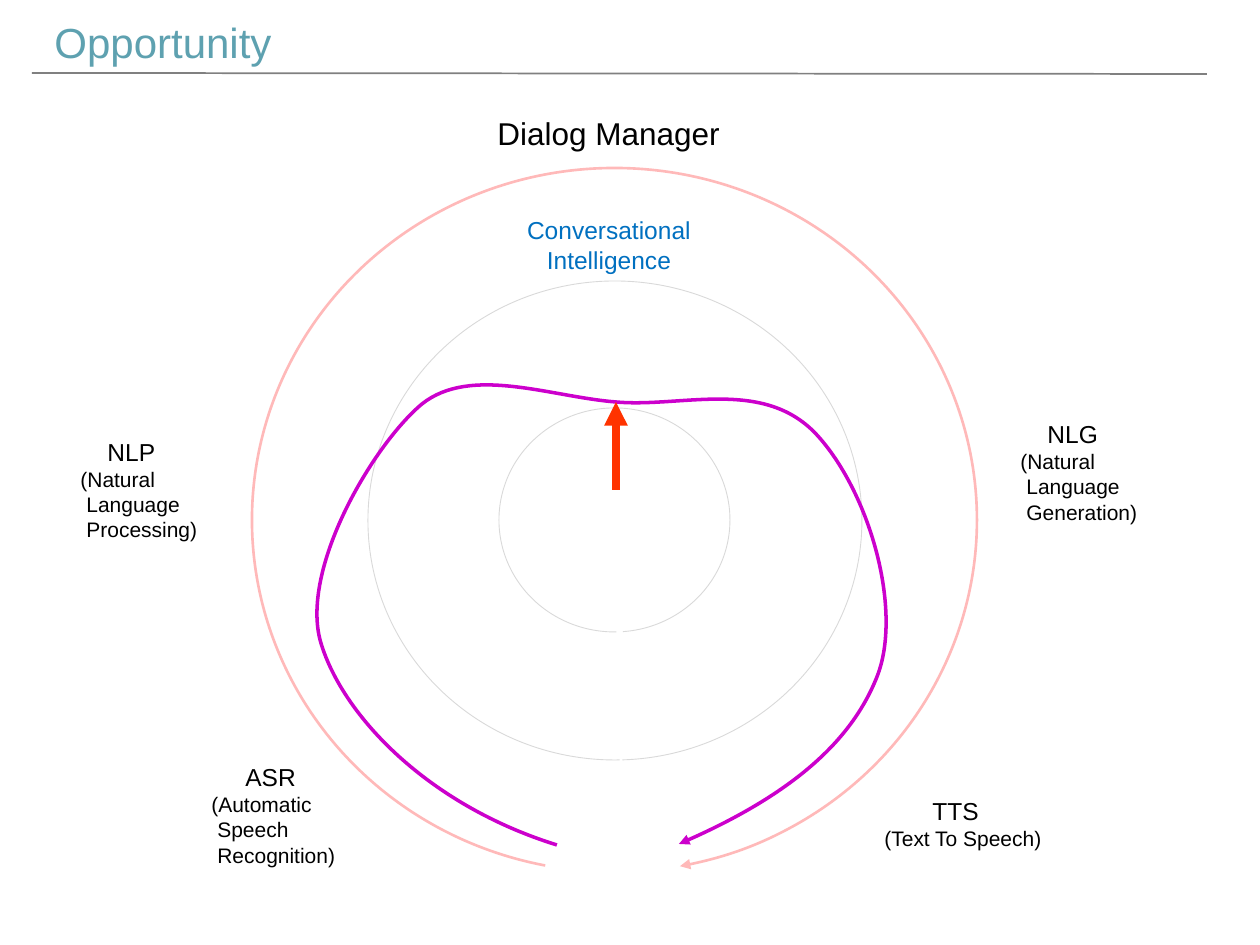
"""Build the Opportunity slide: a dialog loop around conversational intelligence."""
from dataclasses import dataclass

from pptx import Presentation
from pptx.dml.color import RGBColor
from pptx.enum.shapes import MSO_CONNECTOR as Connector, MSO_SHAPE as Shape
from pptx.enum.text import MSO_AUTO_SIZE as AutoSize, PP_ALIGN as Align
from pptx.oxml.ns import qn
from pptx.util import Emu, Pt
from lxml.etree import SubElement


@dataclass(frozen=True)
class Theme:
    font: str = "Arial"
    title: str = "5EA1B0"
    text: str = "000000"
    accent: str = "0070C0"
    rule: str = "808080"
    loop: str = "FFB9B9"
    ring: str = "D9D9D9"
    path_line: str = "CC00CC"
    pointer: str = "FF3300"
    title_size: int = 24
    heading_size: int = 18
    label_size: int = 14
    detail_size: int = 12


THEME = Theme()
EMU_PER_PX = 914400 / 126

HEADINGS = [
    (["Opportunity"], (42, 10, 244, 63), THEME.title_size, THEME.title, Align.LEFT),
    (["Dialog Manager"], (485, 108, 249, 51), THEME.heading_size, THEME.text, Align.LEFT),
    (["Conversational", "Intelligence"], (514, 209, 190, 72),
     THEME.label_size, THEME.accent, Align.CENTER),
]
STAGES = [
    ("ASR", ["(Automatic", "Speech", "Recognition)"], (199, 756, 150, 118), 34),
    ("TTS", ["(Text To Speech)"], (872, 790, 184, 68), 48),
    ("NLP", ["(Natural", "Language", "Processing)"], (68, 431, 142, 118), 27),
    ("NLG", ["(Natural", "Language", "Generation)"], (1008, 413, 142, 118), 27),
]
DETAIL_INDENT = 6
LOOP = ((252, 168, 725, 704), (101.33, 79.29), THEME.loop, 1.5, True)
RINGS = [
    ((368, 281, 494, 479), (88.88, 88.23), THEME.ring, 0.5, False),
    ((499, 408, 231, 224), (89.01, 85.72), THEME.ring, 0.5, False),
]
FLOW_BOX = (317, 385, 570, 461)
FLOW_START = (557, 845)
FLOW_CURVES = [
    [(428, 805), (343, 716), (321, 643)],
    [(299, 570), (373, 445), (422, 404)],
    [(471, 365), (551, 397), (616, 402)],
    [(682, 408), (765, 377), (818, 436)],
    [(871, 495), (903, 612), (877, 677)],
    [(852, 740), (791, 796), (679, 844)],
]
TITLE_RULE = ((32, 73, 1207, 74), THEME.rule, 1, False)
POINTER = ((616, 490, 616, 402), THEME.pointer, 4.5, True)


def px(value):
    return Emu(round(value * EMU_PER_PX))


def scaled(values):
    return [px(value) for value in values]


def style_line(shape, color, width, arrow):
    shape.line.color.rgb = RGBColor.from_string(color)
    shape.line.width = Pt(width)
    if arrow:
        SubElement(shape.line._get_or_add_ln(), qn("a:tailEnd"), type="triangle")


def add_text(slide, lines, box, color, align=Align.LEFT):
    shape = slide.shapes.add_textbox(*scaled(box))
    text_frame = shape.text_frame
    text_frame.text = "\n".join(text for text, size, indent in lines)
    text_frame.word_wrap = False
    text_frame.auto_size = AutoSize.SHAPE_TO_FIT_TEXT
    for paragraph, (text, size, indent) in zip(text_frame.paragraphs, lines):
        paragraph.alignment = align
        if indent:
            properties = paragraph._p.get_or_add_pPr()
            properties.set("marL", str(px(indent)))
            properties.set("indent", "0")
        font = paragraph.runs[0].font
        font.name = THEME.font
        font.size = Pt(size)
        font.color.rgb = RGBColor.from_string(color)


def add_stage(slide, name, details, box, indent):
    lines = [(name, THEME.label_size, indent)]
    lines += [(text, THEME.detail_size, DETAIL_INDENT if row else 0)
              for row, text in enumerate(details)]
    add_text(slide, lines, box, THEME.text)


def add_arc(slide, box, degrees, color, width, arrow):
    shape = slide.shapes.add_shape(Shape.ARC, *scaled(box))
    shape.shadow.inherit = False
    shape.fill.background()
    for index, angle in enumerate(degrees):
        shape.adjustments[index] = angle * 0.6
    style_line(shape, color, width, arrow)


def add_line(slide, ends, color, width, arrow):
    connector = slide.shapes.add_connector(Connector.STRAIGHT, *scaled(ends))
    style_line(connector, color, width, arrow)
    SubElement(connector._element.spPr, qn("a:effectLst"))


def add_flow(slide):
    left, top, width, height = FLOW_BOX
    builder = slide.shapes.build_freeform(*FLOW_START, scale=EMU_PER_PX)
    builder.add_line_segments([curve[-1] for curve in FLOW_CURVES], close=False)
    shape = builder.convert_to_shape()
    shape.left, shape.top, shape.width, shape.height = scaled(FLOW_BOX)
    outline = next(shape._element.iter(qn("a:path")))
    outline.set("w", str(px(width)))
    outline.set("h", str(px(height)))
    for child in list(outline):
        outline.remove(child)
    for tag, points in [("a:moveTo", [FLOW_START])] + [
            ("a:cubicBezTo", curve) for curve in FLOW_CURVES]:
        segment = SubElement(outline, qn(tag))
        for x, y in points:
            SubElement(segment, qn("a:pt"), x=str(px(x - left)), y=str(px(y - top)))
    shape.shadow.inherit = False
    shape.fill.background()
    style_line(shape, THEME.path_line, 2, True)


def main():
    presentation = Presentation()
    presentation.slide_width, presentation.slide_height = px(1260), px(945)
    slide = presentation.slides.add_slide(presentation.slide_layouts[6])
    add_line(slide, *TITLE_RULE)
    add_arc(slide, *LOOP)
    for stage in STAGES:
        add_stage(slide, *stage)
    for ring in RINGS:
        add_arc(slide, *ring)
    add_flow(slide)
    for texts, box, size, color, align in HEADINGS:
        add_text(slide, [(text, size, 0) for text in texts], box, color, align)
    add_line(slide, *POINTER)
    presentation.save("out.pptx")


if __name__ == "__main__":
    main()
